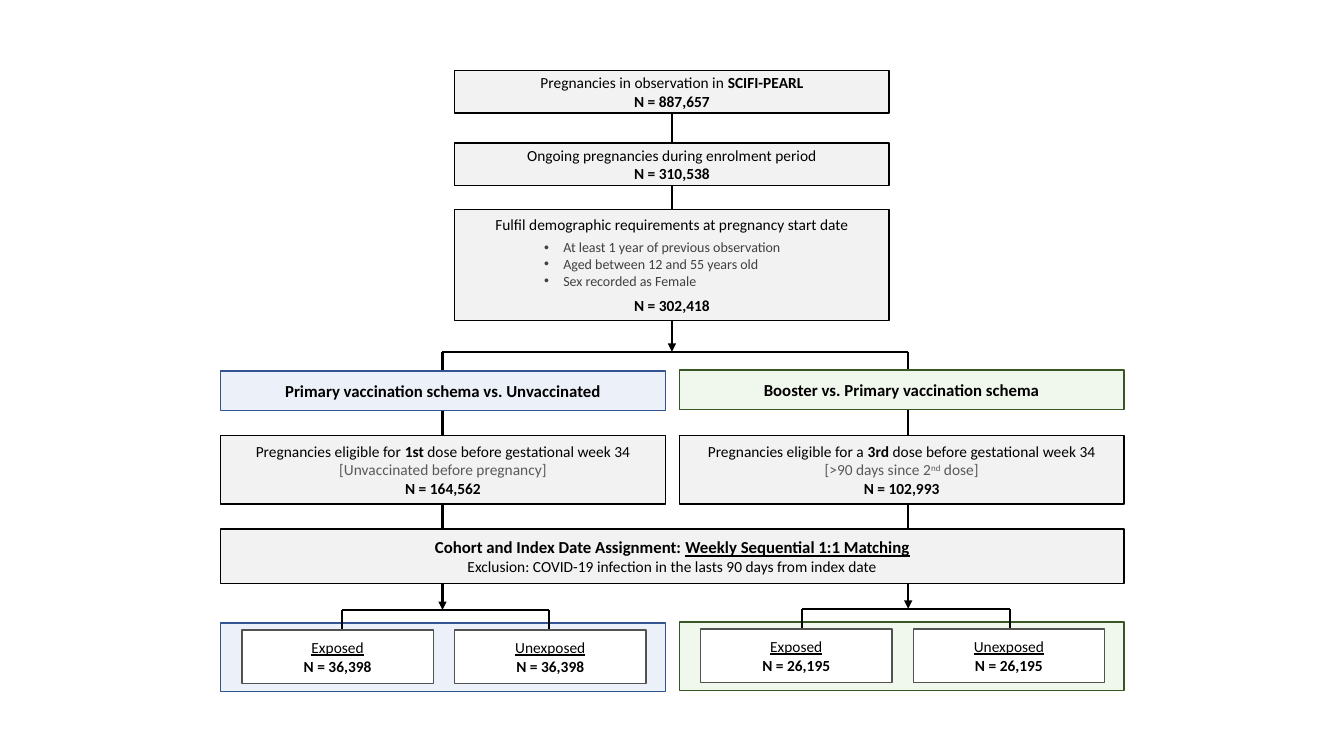
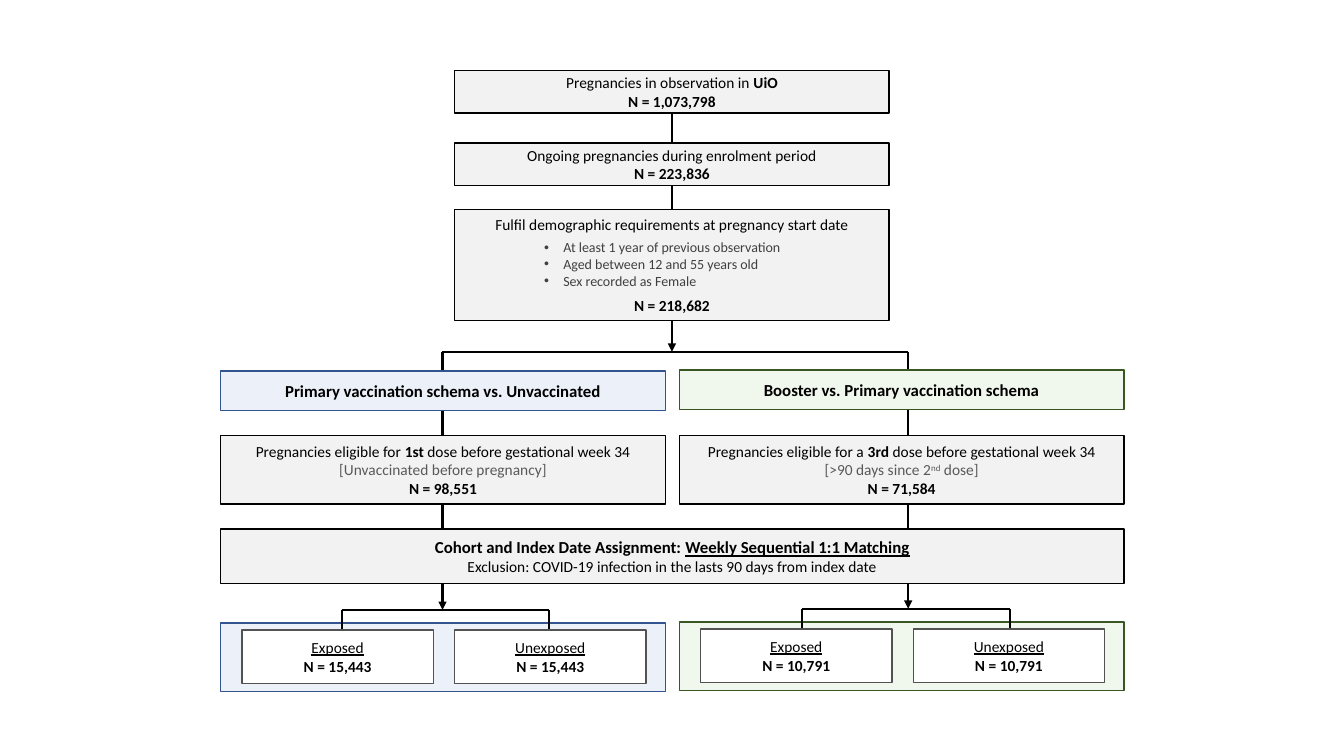
"""Build two cohort selection flowcharts, one for each data source."""
from dataclasses import dataclass
from typing import NamedTuple, Optional

from lxml import etree
from pptx import Presentation
from pptx.dml.color import RGBColor
from pptx.enum.shapes import MSO_CONNECTOR, MSO_SHAPE
from pptx.enum.text import MSO_ANCHOR, PP_ALIGN
from pptx.oxml.ns import qn
from pptx.slide import Slide
from pptx.text.text import TextFrame
from pptx.util import Emu, Inches, Pt

RECTANGLE = MSO_SHAPE.RECTANGLE
STRAIGHT = MSO_CONNECTOR.STRAIGHT
CENTER, LEFT = PP_ALIGN.CENTER, PP_ALIGN.LEFT
MIDDLE, TOP = MSO_ANCHOR.MIDDLE, MSO_ANCHOR.TOP


@dataclass(frozen=True)
class Theme:
    """Colours, font, type sizes and line widths."""
    font: str = "Calibri"
    ink: str = "000000"
    muted: str = "595959"
    detail: str = "404040"
    step: str = "F2F2F2"
    white: str = "FFFFFF"
    group_border: str = "525252"
    blue: str = "ECF1F9"
    blue_border: str = "325491"
    green: str = "F0F7EC"
    green_border: str = "385723"
    heading: int = 12
    body: int = 11
    small: int = 10
    border: float = 1
    flow: float = 1.5


class Box(NamedTuple):
    """A rectangle in grid columns and rows."""
    column: float
    row: float
    columns: float
    rows: float


class Run(NamedTuple):
    """A piece of text with one format."""
    text: str
    bold: bool = False
    underline: bool = False
    color: str = Theme.ink
    size: int = Theme.body
    superscript: bool = False


class Line(NamedTuple):
    """A paragraph with the space above it in points."""
    runs: tuple[Run, ...]
    space_before: float = 0


@dataclass(frozen=True)
class Arm:
    """One comparison, drawn as a column of the chart."""
    heading: str
    dose: tuple[Run, ...]
    condition: tuple[Run, ...]
    fill: str
    border: str
    flow_column: float
    fork_column: float
    lift: float


@dataclass(frozen=True)
class Cohort:
    """A data source and the counts at each step."""
    source: str
    observed: str
    ongoing: str
    fulfilling: str
    eligible: tuple[str, str]
    matched: tuple[str, str]


THEME = Theme()
CELL = Inches(0.1)
SLIDE_COLUMNS, SLIDE_ROWS = 133.33, 75
CENTER_COLUMN = SLIDE_COLUMNS / 2
ARMS_COLUMN, ARM_COLUMNS, ARM_GAP = 21.9, 44.1, 1.4
TRUNK_COLUMNS = 43.1
TRUNK_COLUMN = CENTER_COLUMN - TRUNK_COLUMNS / 2
GROUP_INSET, GROUP_COLUMNS, GROUP_STEP = 2.1, 19, 21.1
SPLIT_ROW, FORK_ROW, GROUP_ROW = 34.9, 60.5, 62.5
FORK_COLUMNS = 20.6
CRITERIA_SPACE = 45
CRITERIA = (
    "At least 1 year of previous observation",
    "Aged between 12 and 55 years old",
    "Sex recorded as Female",
)
GROUPS = ("Exposed", "Unexposed")
ARMS = (
    Arm(
        "Primary vaccination schema vs. Unvaccinated",
        (Run("Pregnancies eligible for "), Run("1st ", bold=True),
         Run("dose before gestational week 34")),
        (Run("[Unvaccinated before pregnancy]", color=THEME.muted),),
        THEME.blue, THEME.blue_border, 43.9, 33.9, 0,
    ),
    Arm(
        "Booster vs. Primary vaccination schema",
        (Run("Pregnancies eligible for a "), Run("3rd ", bold=True),
         Run("dose before gestational week 34")),
        (Run("[>90 days since 2", color=THEME.muted),
         Run("nd", color=THEME.muted, superscript=True),
         Run(" dose]", color=THEME.muted)),
        THEME.green, THEME.green_border, 90.1, 79.6, 0.1,
    ),
)
COHORTS = (
    Cohort("SCIFI-PEARL", "887,657", "310,538", "302,418",
           ("164,562", "102,993"), ("36,398", "26,195")),
    Cohort("UiO", "1,073,798", "223,836", "218,682",
           ("98,551", "71,584"), ("15,443", "10,791")),
)


def grid(cells: float) -> Emu:
    """Convert grid cells to a length."""
    return Emu(round(cells * CELL))


def plain(text: str) -> Line:
    """Return a paragraph of body text."""
    return Line((Run(text),))


def count(number: str, space_before: float = 0) -> Line:
    """Return the bold paragraph that states a count."""
    return Line((Run(f"N = {number}", bold=True),), space_before)


def write(frame: TextFrame, lines: tuple[Line, ...], alignment: PP_ALIGN) -> None:
    """Fill a text frame with formatted paragraphs."""
    frame.word_wrap = True
    for index, line in enumerate(lines):
        paragraph = frame.add_paragraph() if index else frame.paragraphs[0]
        paragraph.alignment = alignment
        paragraph.space_before = Pt(line.space_before)
        for part in line.runs:
            run = paragraph.add_run()
            run.text = part.text
            run.font.name = THEME.font
            run.font.size = Pt(part.size)
            run.font.bold = part.bold
            run.font.underline = part.underline
            run.font.color.rgb = RGBColor.from_string(part.color)
            if part.superscript:
                run.font._element.set("baseline", "30000")


def add_box(slide: Slide, box: Box, lines: tuple[Line, ...] = (),
            fill: str = THEME.step, border: str = THEME.ink) -> None:
    """Draw a bordered rectangle with centred text."""
    shape = slide.shapes.add_shape(RECTANGLE, *map(grid, box))
    shape.shadow.inherit = False
    shape.fill.solid()
    shape.fill.fore_color.rgb = RGBColor.from_string(fill)
    shape.line.color.rgb = RGBColor.from_string(border)
    shape.line.width = Pt(THEME.border)
    shape.text_frame.vertical_anchor = MIDDLE
    write(shape.text_frame, lines, CENTER)


def add_flow(slide: Slide, start: tuple[float, float], end: tuple[float, float],
             arrow: bool = False) -> None:
    """Draw a flow line, with an arrowhead if asked."""
    connector = slide.shapes.add_connector(STRAIGHT, *map(grid, start + end))
    connector.line.color.rgb = RGBColor.from_string(THEME.ink)
    connector.line.width = Pt(THEME.flow)
    properties = connector._element.spPr
    if arrow:
        etree.SubElement(properties.find(qn("a:ln")), qn("a:tailEnd"), type="triangle")
    etree.SubElement(properties, qn("a:effectLst"))


def add_criteria(slide: Slide) -> None:
    """Write the bulleted demographic criteria."""
    textbox = slide.shapes.add_textbox(*map(grid, Box(53, 23.2, 27.3, 6.1)))
    frame = textbox.text_frame
    frame.vertical_anchor = TOP
    lines = tuple(Line((Run(text, color=THEME.detail, size=THEME.small),))
                  for text in CRITERIA)
    write(frame, lines, LEFT)
    indent = grid(1.9)
    for paragraph in frame.paragraphs:
        properties = paragraph._p.get_or_add_pPr()
        properties.set("marL", str(indent))
        properties.set("indent", str(-indent))
        etree.SubElement(properties, qn("a:buFont"), typeface="Arial")
        etree.SubElement(properties, qn("a:buChar"), char="•")


def add_trunk(slide: Slide, cohort: Cohort) -> None:
    """Draw the steps shared by both arms."""
    add_flow(slide, (CENTER_COLUMN, 8), (CENTER_COLUMN, SPLIT_ROW), arrow=True)
    source = Line((Run("Pregnancies in observation in "), Run(cohort.source, bold=True)))
    steps = (
        (7, 4.2, (source, count(cohort.observed))),
        (14.2, 4.2, (plain("Ongoing pregnancies during enrolment period"),
                     count(cohort.ongoing))),
        (20.8, 11, (plain("Fulfil demographic requirements at pregnancy start date"),
                    count(cohort.fulfilling, CRITERIA_SPACE))),
    )
    for row, rows, lines in steps:
        add_box(slide, Box(TRUNK_COLUMN, row, TRUNK_COLUMNS, rows), lines)
    add_criteria(slide)
    add_flow(slide, (ARMS[0].flow_column, SPLIT_ROW), (ARMS[1].flow_column, SPLIT_ROW))


def add_arm(slide: Slide, arm: Arm, column: float, eligible: str, matched: str) -> None:
    """Draw one arm from its heading to its matched groups."""
    fork_row, group_row = FORK_ROW - arm.lift, GROUP_ROW - arm.lift
    add_box(slide, Box(column, 61.8 - arm.lift, ARM_COLUMNS, 6.8),
            fill=arm.fill, border=arm.border)
    add_flow(slide, (arm.flow_column, SPLIT_ROW), (arm.flow_column, fork_row), arrow=True)
    add_box(slide, Box(column, 36.8 - arm.lift, ARM_COLUMNS, 3.9),
            (Line((Run(arm.heading, bold=True, size=THEME.heading),)),),
            arm.fill, arm.border)
    add_box(slide, Box(column, 43.2, ARM_COLUMNS, 6.8),
            (Line(arm.dose), Line(arm.condition), count(eligible)))
    add_flow(slide, (arm.fork_column, fork_row),
             (arm.fork_column + FORK_COLUMNS, fork_row))
    for index, group in enumerate(GROUPS):
        fork = arm.fork_column + index * FORK_COLUMNS
        add_flow(slide, (fork, fork_row), (fork, group_row))
        add_box(slide, Box(column + GROUP_INSET + index * GROUP_STEP, group_row,
                           GROUP_COLUMNS, 5.3),
                (Line((Run(group, underline=True),)), count(matched)),
                THEME.white, THEME.group_border)


def add_matching(slide: Slide) -> None:
    """Draw the matching step that spans both arms."""
    lines = (
        Line((Run("Cohort and Index Date Assignment: ", bold=True, size=THEME.heading),
              Run("Weekly Sequential 1:1 Matching", bold=True, underline=True,
                  size=THEME.heading))),
        plain("Exclusion: COVID-19 infection in the lasts 90 days from index date"),
    )
    add_box(slide, Box(ARMS_COLUMN, 52.5, 2 * ARM_COLUMNS + ARM_GAP, 5.4), lines)


def build(filename: Optional[str] = None) -> None:
    """Build the presentation and save it."""
    presentation = Presentation()
    presentation.slide_width = grid(SLIDE_COLUMNS)
    presentation.slide_height = grid(SLIDE_ROWS)
    blank = presentation.slide_layouts.get_by_name("Blank")
    for cohort in COHORTS:
        slide = presentation.slides.add_slide(blank)
        add_trunk(slide, cohort)
        for index, (arm, eligible, matched) in enumerate(
                zip(ARMS, cohort.eligible, cohort.matched)):
            column = ARMS_COLUMN + index * (ARM_COLUMNS + ARM_GAP)
            add_arm(slide, arm, column, eligible, matched)
        add_matching(slide)
    presentation.save("out.pptx")


if __name__ == "__main__":
    build()
